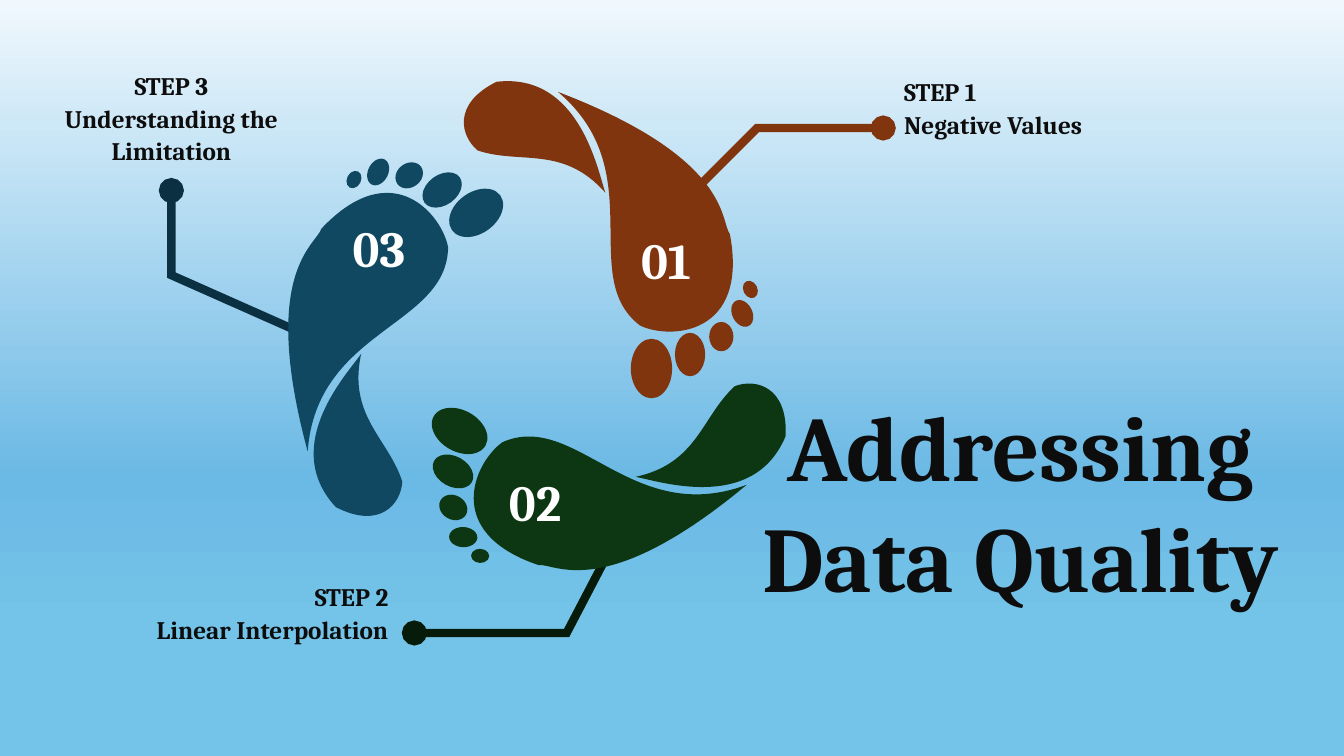
"""Builds the three-footprint slide on addressing data quality."""
from math import cos, radians, sin

from lxml.etree import SubElement
from pptx import Presentation
from pptx.dml.color import RGBColor
from pptx.enum.shapes import MSO_SHAPE
from pptx.enum.text import MSO_AUTO_SIZE, PP_ALIGN
from pptx.oxml.ns import qn
from pptx.util import Inches, Pt

FONT, INK, WHITE = "Cambria", "0D0D0D", "FFFFFF"
BACKGROUND = [(0, "F0F8FD"), (63, "6BB9E5"), (83, "74C4E9"), (100, "74C4E9")]

LEADERS = [
    ("80350E", [(6.65, 2.13), (7.51, 1.27), (8.76, 1.27)]),
    ("061B09", [(6.09, 5.38), (5.62, 6.28), (4.11, 6.28)]),
    ("0B3041", [(3.03, 3.32), (1.7, 2.73), (1.7, 1.89)]),
]
FEET = [
    ("104862", (3.61, 3.21), 6.1),
    ("80350E", (6.23, 2.11), 132.2),
    ("0D3612", (6.02, 4.83), 251.5),
]
HEEL = {
    "offset": (0.09, 1.1), "size": (0.91, 1.6), "start": (0.37, 0),
    "curves": [
        [(0.3, 0.63), (0.73, 0.81), (0.91, 1.22)],
        [(0.92, 1.44), (0.74, 1.72), (0.28, 1.54)],
        [(-0.35, 0.99), (0.27, 0.19), (0.37, 0)],
    ],
}
SOLE = {
    "offset": (0, 0), "size": (1.5, 2.64), "start": (0.33, 2.64),
    "curves": [
        [(0.29, 1.42), (1.57, 1.27), (1.5, 0.48)],
        [(1.41, 0.17), (0.85, -0.39), (0.23, 0.43)],
        [(0.2, 0.59), (-0.34, 0.92), (0.33, 2.64)],
    ],
}
TOES = [
    ((0.99, -1.21), (0.59, 0.41), 317.9),
    ((0.63, -1.4), (0.43, 0.3), 317.9),
    ((0.29, -1.51), (0.29, 0.24), 317.9),
    ((-0.02, -1.51), (0.28, 0.2), 290.9),
    ((-0.25, -1.41), (0.18, 0.14), 290.9),
]
NUMBERS = [("01", 6.26, 2.22), ("02", 4.95, 4.62), ("03", 3.4, 2.1)]
STEPS = [
    (["STEP 1", "Negative Values"], (8.87, 0.69, 2.64, 0.73), PP_ALIGN.LEFT),
    (["STEP 2", "Linear Interpolation"], (1.31, 5.7, 2.64, 0.73), PP_ALIGN.RIGHT),
    (["STEP 3", "Understanding the Limitation"], (0.38, 0.63, 2.64, 1.05), PP_ALIGN.CENTER),
]
TITLE = ["Addressing ", "Data Quality "]
TITLE_BOX = (7, 3.81, 6.44, 2.32)


def rgb(code):
    return RGBColor.from_string(code)


def paint_background(s):
    fill = s.background.fill
    fill.gradient()
    fill.gradient_angle = 270
    stops = s._element.find(".//" + qn("a:gsLst"))
    for stop in list(stops):
        stops.remove(stop)
    for percent, color in BACKGROUND:
        stop = SubElement(stops, qn("a:gs"), pos=str(percent * 1000))
        SubElement(stop, qn("a:srgbClr"), val=color)


def outline(s, points, close):
    points = [(Inches(x), Inches(y)) for x, y in points]
    builder = s.shapes.build_freeform(*points[0])
    builder.add_line_segments(points[1:], close=close)
    sp = builder.convert_to_shape()
    sp.shadow.inherit = False
    return sp


def add_leader(s, color, points):
    sp = outline(s, points, False)
    sp.fill.background()
    sp.line.color.rgb = rgb(color)
    sp.line.width = Pt(6)
    ln = sp.line._ln
    SubElement(ln, qn("a:miter"), lim="800000")
    SubElement(ln, qn("a:tailEnd"), type="oval")


def add_curved(s, part):
    sp = outline(s, [part["start"]] + [curve[-1] for curve in part["curves"]], True)
    path = sp._element.find(".//" + qn("a:path"))
    for side, length in zip("wh", part["size"]):
        path.set(side, str(Inches(length)))
    for child in list(path):
        path.remove(child)
    for tag, points in [("moveTo", [part["start"]])] + [("cubicBezTo", c) for c in part["curves"]]:
        step = SubElement(path, qn("a:" + tag))
        for x, y in points:
            SubElement(step, qn("a:pt"), x=str(Inches(x)), y=str(Inches(y)))
    SubElement(path, qn("a:close"))
    return sp


def place(sp, foot, offset, size, turn=0):
    color, (cx, cy), angle = foot
    c, n = cos(radians(angle)), sin(radians(angle))
    (dx, dy), (w, h) = offset, size
    sp.left = Inches(cx + dx * c - dy * n - w / 2)
    sp.top = Inches(cy + dx * n + dy * c - h / 2)
    sp.width, sp.height = Inches(w), Inches(h)
    sp.rotation = (angle + turn) % 360
    sp.shadow.inherit = False
    sp.fill.solid()
    sp.fill.fore_color.rgb = rgb(color)
    sp.line.fill.background()


def add_foot(s, foot):
    for part in (HEEL, SOLE):
        place(add_curved(s, part), foot, part["offset"], part["size"])
    for offset, size, turn in TOES:
        toe = s.shapes.add_shape(MSO_SHAPE.OVAL, 0, 0, 0, 0)
        place(toe, foot, offset, size, turn)


def add_text(s, lines, box, size, color, align=PP_ALIGN.LEFT, spacing=None, wrap=True):
    tf = s.shapes.add_textbox(*map(Inches, box)).text_frame
    tf.word_wrap = wrap
    tf.auto_size = MSO_AUTO_SIZE.SHAPE_TO_FIT_TEXT
    tf.text = "\n".join(lines)
    for p in tf.paragraphs:
        p.alignment = align
        p.line_spacing = spacing
        for r in p.runs:
            r.font.name, r.font.size, r.font.bold = FONT, Pt(size), True
            r.font.color.rgb = rgb(color)


def main():
    prs = Presentation()
    prs.slide_width, prs.slide_height = Inches(13.33), Inches(7.5)
    s = prs.slides.add_slide(prs.slide_layouts[6])
    paint_background(s)
    for color, points in LEADERS:
        add_leader(s, color, points)
    for foot in FEET:
        add_foot(s, foot)
    for number, x, y in NUMBERS:
        add_text(s, [number], (x, y, 0.8, 0.71), 36, WHITE, wrap=False)
    for lines, box, align in STEPS:
        add_text(s, lines, box, 18, INK, align, 1.07)
    add_text(s, TITLE, TITLE_BOX, 66, INK, PP_ALIGN.CENTER)
    prs.save("out.pptx")


if __name__ == "__main__":
    main()
